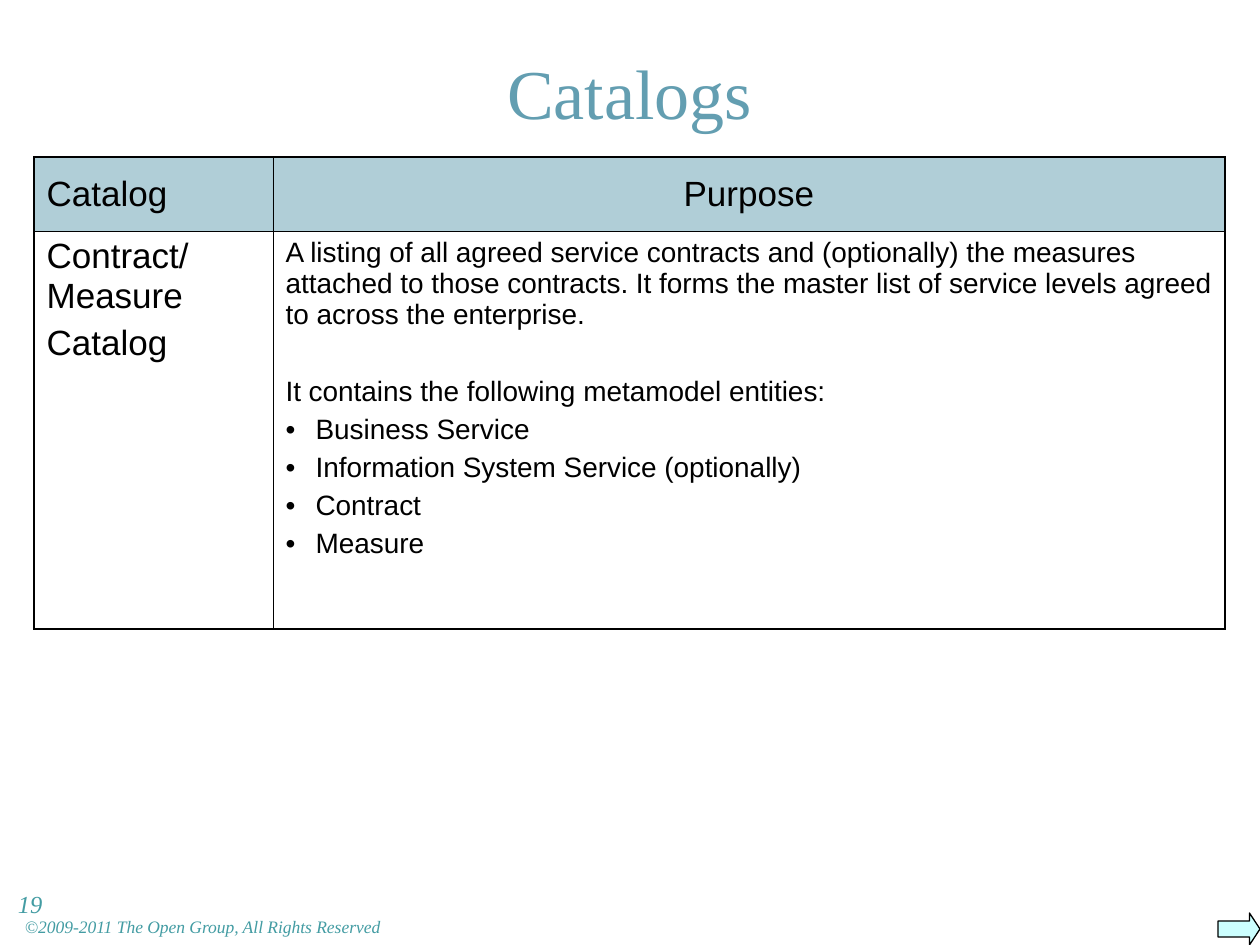
from dataclasses import dataclass

from lxml.etree import SubElement
from pptx import Presentation
from pptx.dml.color import RGBColor
from pptx.enum.shapes import MSO_SHAPE as Shape
from pptx.enum.text import MSO_ANCHOR as Anchor, PP_ALIGN as Align
from pptx.oxml import parse_xml
from pptx.oxml.ns import nsdecls, qn
from pptx.util import Emu, Pt

PX_PER_INCH = 126
TITLE_ONLY = 5


@dataclass(frozen=True)
class Theme:
    title_color: str = "639EB1"
    footer_color: str = "439CA3"
    ink: str = "000000"
    arrow_color: str = "CCFFFF"
    serif: str = "Times New Roman"
    sans: str = "Arial"
    title_size: int = 40
    heading_size: int = 20
    body_size: int = 16
    number_size: int = 14
    footer_size: int = 10
    outer_line: float = 1.08
    inner_line: float = 0.45


def px(length):
    return Emu(round(length * 914400 / PX_PER_INCH))


def rgb(color):
    return RGBColor.from_string(color)


def add_bullet(paragraph, indent):
    properties = paragraph._p.get_or_add_pPr()
    properties.set("marL", str(px(indent)))
    properties.set("indent", str(-px(indent)))
    SubElement(properties, qn("a:buFont"), typeface="Arial")
    SubElement(properties, qn("a:buChar"), char="•")


def write(frame, text, *, size, font, color, align=Align.LEFT, italic=False,
          before=0, bullet=False):
    """Append one formatted paragraph, using the first one while it is empty."""
    first = frame.paragraphs[0]
    is_first = not first.runs
    paragraph = first if is_first else frame.add_paragraph()
    if bullet:
        add_bullet(paragraph, 30)
    paragraph.alignment = align
    paragraph.space_before = Pt(0 if is_first else before)
    run = paragraph.add_run()
    run.text = text
    run.font.size, run.font.name = Pt(size), font
    run.font.bold, run.font.italic = False, italic
    run.font.color.rgb = rgb(color)


class SlideBuilder:
    def __init__(self, slide, theme):
        self.slide = slide
        self.theme = theme

    def title(self, text, left, top, width, height):
        shape = self.slide.shapes.title
        shape.left, shape.top = px(left), px(top)
        shape.width, shape.height = px(width), px(height)
        shape.text_frame.vertical_anchor = Anchor.MIDDLE
        write(shape.text_frame, text, size=self.theme.title_size, font=self.theme.serif,
              color=self.theme.title_color, align=Align.CENTER)

    def table(self, left, top, columns, rows):
        table = self.slide.shapes.add_table(
            len(rows), len(columns), px(left), px(top), px(sum(columns)), px(sum(rows))).table
        table.first_row = table.horz_banding = False
        for column, width in zip(table.columns, columns):
            column.width = px(width)
        for row, height in zip(table.rows, rows):
            row.height = px(height)
        for row in range(len(rows)):
            for column in range(len(columns)):
                cell = table.cell(row, column)
                self.cell_fill(cell, is_header=row == 0)
                self.cell_borders(cell, {
                    "L": column == 0, "R": column == len(columns) - 1,
                    "T": row == 0, "B": row == len(rows) - 1})
        return table

    def cell_fill(self, cell, is_header):
        cell.fill.background()
        if is_header:
            cell.vertical_anchor = Anchor.MIDDLE
            cell.fill.solid()
            cell.fill.fore_color.rgb = rgb(self.theme.title_color)
            color = cell._tc.tcPr.find(f".//{qn('a:srgbClr')}")
            SubElement(color, qn("a:alpha"), val="50000")

    def cell_borders(self, cell, sides):
        for position, (side, is_outer) in enumerate(sides.items()):
            width = Pt(self.theme.outer_line if is_outer else self.theme.inner_line)
            cell._tc.tcPr.insert(position, parse_xml(
                f'<a:ln{side} {nsdecls("a")} w="{width}"><a:solidFill>'
                f'<a:srgbClr val="{self.theme.ink}"/></a:solidFill></a:ln{side}>'))

    def cell_text(self, cell, text, size, **options):
        write(cell.text_frame, text, size=size, font=self.theme.sans,
              color=self.theme.ink, **options)

    def arrow(self, left, top, width, height):
        shape = self.slide.shapes.add_shape(
            Shape.RIGHT_ARROW, px(left), px(top), px(width), px(height))
        shape.adjustments[1] = 0.33
        shape.shadow.inherit = False
        shape.fill.solid()
        shape.fill.fore_color.rgb = rgb(self.theme.arrow_color)
        shape.line.color.rgb = rgb(self.theme.ink)
        shape.line.width = Pt(0.75)

    def footer(self, text, left, top, width, height, size, inset):
        frame = self.slide.shapes.add_textbox(
            px(left), px(top), px(width), px(height)).text_frame
        frame.word_wrap = True
        frame.margin_left = px(inset)
        write(frame, text, size=size, font=self.theme.serif,
              color=self.theme.footer_color, italic=True)


def main():
    theme = Theme()
    presentation = Presentation()
    presentation.slide_width, presentation.slide_height = px(1260), px(945)
    slide = presentation.slides.add_slide(presentation.slide_layouts[TITLE_ONLY])
    builder = SlideBuilder(slide, theme)

    # Title
    builder.title("Catalogs", 34, -1, 1191, 186)

    # Catalog table
    table = builder.table(34, 157, columns=[239, 952], rows=[74, 398])
    builder.cell_text(table.cell(0, 0), "Catalog", theme.heading_size)
    builder.cell_text(table.cell(0, 1), "Purpose", theme.heading_size, align=Align.CENTER)
    for line in ("Contract/ Measure", "Catalog"):
        builder.cell_text(table.cell(1, 0), line, theme.heading_size, before=5)

    # Purpose and its entities
    purpose = table.cell(1, 1)
    builder.cell_text(
        purpose,
        "A listing of all agreed service contracts and (optionally) the measures attached "
        "to those contracts. It forms the master list of service levels agreed to across "
        "the enterprise.", theme.body_size)
    builder.cell_text(purpose, "It contains the following metamodel entities:",
                      theme.body_size, before=26)
    for entity in ("Business Service", "Information System Service (optionally)",
                   "Contract", "Measure"):
        builder.cell_text(purpose, entity, theme.body_size, before=4, bullet=True)

    # Next arrow, copyright line and slide number
    builder.arrow(1218, 913, 42, 32)
    builder.footer("©2009-2011 The Open Group, All Rights Reserved",
                   25, 910, 922, 30, theme.footer_size, inset=0)
    builder.footer("19", 5, 883, 149, 66, theme.number_size, inset=13)

    presentation.save("out.pptx")


if __name__ == "__main__":
    main()
